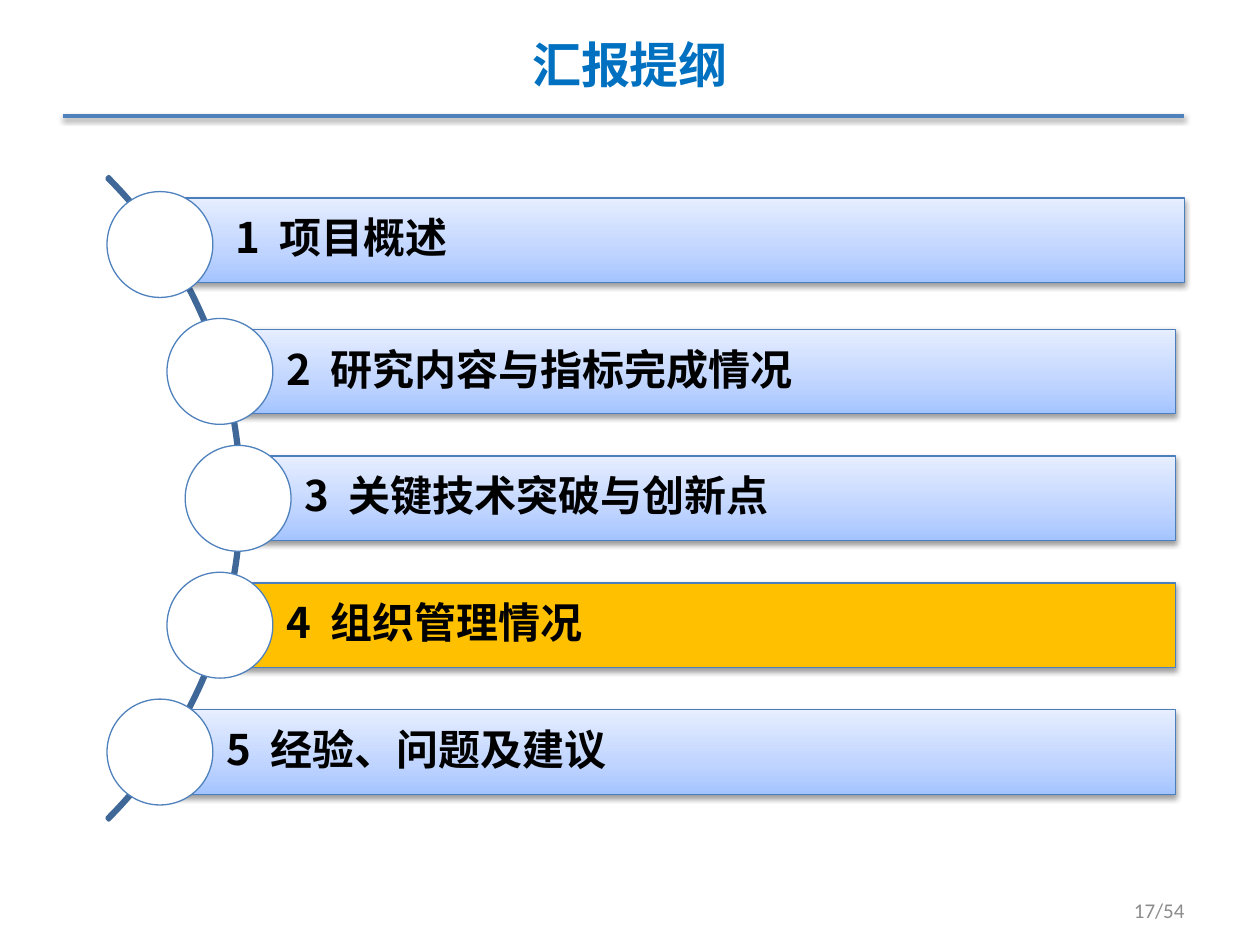
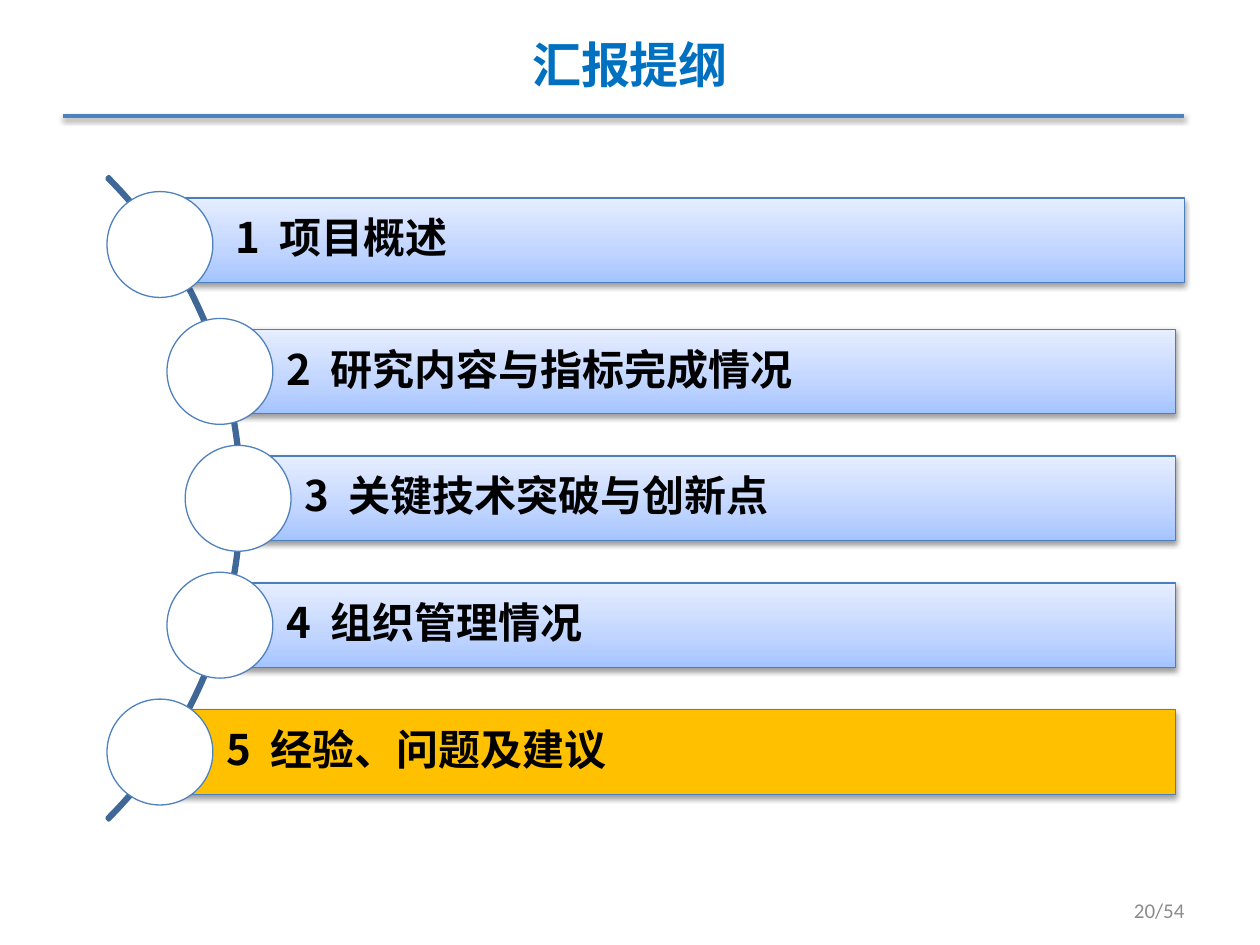
from copy import deepcopy
from dataclasses import dataclass
from math import sqrt

from pptx import Presentation
from pptx.dml.color import RGBColor as Rgb
from pptx.enum.shapes import MSO_CONNECTOR as Link, MSO_SHAPE as Kind
from pptx.enum.text import MSO_ANCHOR as Anchor, PP_ALIGN as Align
from pptx.oxml import parse_xml
from pptx.oxml.ns import nsdecls, qn
from pptx.util import Inches, Pt


@dataclass(frozen=True)
class Theme:
    head: str = "0070C0"
    rule: str = "4F81BD"
    edge: str = "4B7EBC"
    arc: str = "3F6797"
    ink: str = "000000"
    dim: str = "8C8C8C"
    white: str = "FFFFFF"
    mark: str = "FFC000"
    fade: tuple = ((0, "A4C4FF"), (0.35, "BFD4FF"), (1, "E6EEFF"))
    cjk: str = "Noto Sans CJK SC"
    latin: str = "Calibri"
    big: int = 28
    mid: int = 24
    small: int = 12
    thick: float = 2
    thin: float = 0.75


T = Theme()

# The slide is a grid of 100 columns by 75 rows.
COLS, ROWS = 100, 75
LEFT, RIGHT = 5, 94          # ends of the title rule
MID = 39.55                  # row on which the arc is centred
HUB = -16.9                  # column of the arc's centre
ARC, ORBIT = 36.1, 35.8      # radius of the arc, and of the dots' path
STEP, DOT, BAR = 10.07, 8.4, 6.7
END = 93.3                   # right end of the bars
NUDGE = {0: (0.7, -0.35)}    # the first bar sits slightly off the rest

TOPICS = ("项目概述", "研究内容与指标完成情况", "关键技术突破与创新点",
          "组织管理情况", "经验、问题及建议")
TOTAL = 54
PAGES = ((17, 3), (20, 4))   # page number, marked topic


def cell(n):
    return Inches(n / 10)


def tint(text):
    return Rgb.from_string(text)


def assign(obj, **form):
    for name, value in form.items():
        setattr(obj, name, value)


def stroke(item, color, width):
    item.line.color.rgb = tint(color)
    item.line.width = Pt(width)


def effect(item, soft):
    """Give the item a soft drop shadow, or an empty effect list."""
    drop = ('<a:outerShdw blurRad="40000" dist="20000" dir="5400000" '
            'rotWithShape="0"><a:srgbClr val="000000">'
            '<a:alpha val="38000"/></a:srgbClr></a:outerShdw>') if soft else ""
    item._element.spPr.append(
        parse_xml(f'<a:effectLst {nsdecls("a")}>{drop}</a:effectLst>'))


def paint(shape, fill):
    """Fill with one colour, a tuple of gradient stops, or nothing."""
    if fill is None:
        shape.fill.background()
    elif isinstance(fill, str):
        shape.fill.solid()
        shape.fill.fore_color.rgb = tint(fill)
    else:
        shape.fill.gradient()
        shape.fill.gradient_angle = 90
        stops = shape._element.spPr.find(qn("a:gradFill")).find(qn("a:gsLst"))
        while len(stops) < len(fill):
            stops.append(deepcopy(stops[-1]))
        for stop, (place, color) in zip(shape.fill.gradient_stops, fill):
            stop.position = place
            stop.color.rgb = tint(color)


def shape(slide, kind, at, fill, edge, width=T.thin, soft=False):
    item = slide.shapes.add_shape(kind, *map(cell, at))
    paint(item, fill)
    stroke(item, edge, width)
    effect(item, soft)
    return item


def write(item, parts, size, color, face, bold=False, align=Align.LEFT,
          inset=(1, 0.5, 1, 0.5), lead=1.0):
    """Set the item's text; each part is a string and its letter spacing."""
    frame = item.text_frame
    sides = ("left", "top", "right", "bottom")
    assign(frame, word_wrap=True, vertical_anchor=Anchor.MIDDLE,
           **{f"margin_{s}": cell(n) for s, n in zip(sides, inset)})
    para = frame.paragraphs[0]
    assign(para, alignment=align, line_spacing=lead)
    for text, gap in parts:
        run = para.add_run()
        run.text = text
        assign(run.font, size=Pt(size), bold=bold, name=face)
        run.font.color.rgb = tint(color)
        props = run.font._element
        props.find(qn("a:latin")).addnext(
            parse_xml(f'<a:ea {nsdecls("a")} typeface="{face}"/>'))
        if gap:
            props.set("spc", str(int(gap * 100)))


def label(slide, at, text, **form):
    write(slide.shapes.add_textbox(*map(cell, at)), [(text, 0)], **form)


def rule(slide):
    line = slide.shapes.add_connector(
        Link.STRAIGHT, cell(LEFT), cell(9.2), cell(RIGHT), cell(9.2))
    stroke(line, T.rule, T.thick)
    effect(line, True)


def arc(slide):
    item = shape(slide, Kind.BLOCK_ARC,
                 (HUB - ARC, MID - ARC, 2 * ARC, 2 * ARC),
                 None, T.arc, T.thick)
    for i, value in enumerate((189, 27, 0.003)):
        item.adjustments[i] = value


def topic(slide, i, name, marked):
    """Draw one bar and its dot, centred on the arc."""
    drop = (i - len(TOPICS) // 2) * STEP
    x, y = HUB + sqrt(ORBIT ** 2 - drop ** 2), MID + drop
    dx, dy = NUDGE.get(i, (0, 0))
    bar = shape(slide, Kind.RECTANGLE,
                (x + dx, y + dy - BAR / 2, END - x, BAR),
                T.mark if marked else T.fade, T.edge, soft=True)
    write(bar, [(str(i + 1), 0), (" ", 5.4), (name, 0)], T.mid, T.ink, T.cjk,
          bold=True, inset=(5.3, 0.7, 0.7, 0.7), lead=0.9)
    shape(slide, Kind.OVAL, (x - DOT / 2, y - DOT / 2, DOT, DOT),
          T.white, T.rule)


def outline(deck, page, mark):
    slide = deck.slides.add_slide(deck.slide_layouts[6])
    label(slide, (5, 2, 90, 6.1), "汇报提纲", size=T.big, color=T.head,
          face=T.cjk, bold=True, align=Align.CENTER)
    arc(slide)
    for i, name in enumerate(TOPICS):
        topic(slide, i, name, i == mark)
    rule(slide)
    label(slide, (71.7, 71, 23.3, 2.5), f"{page}/{TOTAL}", size=T.small,
          color=T.dim, face=T.latin, align=Align.RIGHT)


def main():
    deck = Presentation()
    assign(deck, slide_width=cell(COLS), slide_height=cell(ROWS))
    for page, mark in PAGES:
        outline(deck, page, mark)
    deck.save("out.pptx")


if __name__ == "__main__":
    main()
